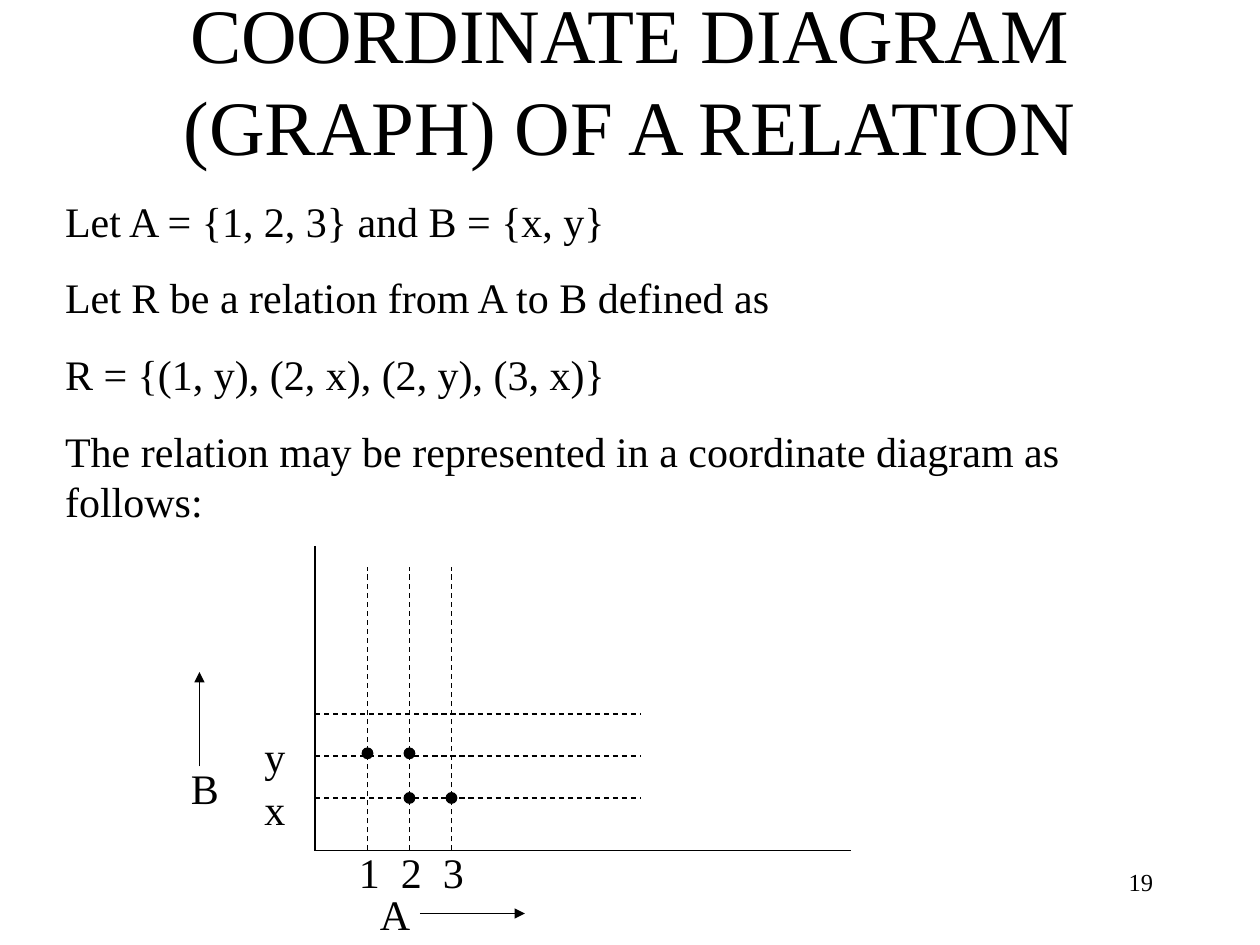
from lxml import etree
from pptx import Presentation
from pptx.dml.color import RGBColor
from pptx.enum import dml, shapes, text
from pptx.oxml import ns
from pptx.util import Pt

BLACK = RGBColor(0, 0, 0)
FONT = {"name": "Times New Roman", "bold": False}

COLUMNS = {"1": 210, "2": 234, "3": 258}
ROWS = {"y": 430.5, "x": 456}
RELATION = [("1", "y"), ("2", "x"), ("2", "y"), ("3", "x")]
ORIGIN_X, ORIGIN_Y = 180, 486

presentation = Presentation()
presentation.slide_width, presentation.slide_height = Pt(720), Pt(540)
slide = presentation.slides.add_slide(presentation.slide_layouts[1])


def write(shape, lines, size, alignment=text.PP_ALIGN.LEFT, before=0):
    """Fill a shape with one formatted paragraph per line, without bullets."""
    frame = shape.text_frame
    frame.text = "\n".join(lines)
    for paragraph in frame.paragraphs:
        paragraph.alignment = alignment
        paragraph.space_before = Pt(before)
        properties = paragraph._p.get_or_add_pPr()
        properties.set("marL", "0")
        properties.set("indent", "0")
        etree.SubElement(properties, ns.qn("a:buNone"))
        font = paragraph.runs[0].font
        for name, value in FONT.items():
            setattr(font, name, value)
        font.size = Pt(size)
        font.color.rgb = BLACK


def add_line(x1, y1, x2, y2, dashed=False, arrow=False):
    line = slide.shapes.add_connector(
        shapes.MSO_CONNECTOR.STRAIGHT, Pt(x1), Pt(y1), Pt(x2), Pt(y2))
    line.line.color.rgb = BLACK
    line.line.width = Pt(0.75)
    if dashed:
        line.line.dash_style = dml.MSO_LINE.DASH
    if arrow:
        etree.SubElement(line.line._get_or_add_ln(), ns.qn("a:tailEnd"), type="triangle")
    etree.SubElement(line._element.spPr, ns.qn("a:effectLst"))


# Title and statement
title, body = slide.shapes.title, slide.placeholders[1]
for shape, box, anchor in [
    (title, (54, 0, 612, 90), text.MSO_ANCHOR.MIDDLE),
    (body, (30, 108, 654, 196.5), text.MSO_ANCHOR.TOP),
]:
    shape.left, shape.top, shape.width, shape.height = map(Pt, box)
    shape.text_frame.auto_size = text.MSO_AUTO_SIZE.NONE
    shape.text_frame.vertical_anchor = anchor
write(title, ["COORDINATE DIAGRAM (GRAPH) OF A RELATION"], 44, text.PP_ALIGN.CENTER)
write(body, [
    "Let A = {1, 2, 3} and B = {x, y}",
    "Let R be a relation from A to B defined as",
    "R = {(1, y), (2, x), (2, y), (3, x)}",
    "The relation may be represented in a coordinate diagram as follows:",
], 24, before=15)

# Axes and grid
add_line(ORIGIN_X, 312, ORIGIN_X, ORIGIN_Y)
add_line(ORIGIN_X, ORIGIN_Y, 486, ORIGIN_Y)
for y in (456, 432, 408):
    add_line(ORIGIN_X, y, 366, y, dashed=True)
for x in COLUMNS.values():
    add_line(x, ORIGIN_Y, x, 324, dashed=True)

# Points of the relation
DOT = 6
for column, row in RELATION:
    dot = slide.shapes.add_shape(
        shapes.MSO_SHAPE.OVAL, Pt(COLUMNS[column] - DOT / 2), Pt(ROWS[row] - DOT / 2),
        Pt(DOT), Pt(DOT))
    dot.shadow.inherit = False
    dot.fill.solid()
    dot.fill.fore_color.rgb = BLACK
    dot.line.color.rgb = BLACK
    dot.line.width = Pt(0.75)

# Labels and direction arrows
labels = [("x", 144, 444, 26), ("y", 144, 414, 26), ("B", 102, 432, 30), ("A", 210, 504, 32)]
labels += [(name, x - 12, 480, 26) for name, x in COLUMNS.items()]
for name, left, top, width in labels:
    label = slide.shapes.add_textbox(Pt(left), Pt(top), Pt(width), Pt(36))
    label.text_frame.word_wrap = False
    write(label, [name], 24)
add_line(114, 438, 114, 384, arrow=True)
add_line(240, 522, 300, 522, arrow=True)

page_number = slide.shapes.add_textbox(Pt(516), Pt(492), Pt(150), Pt(36))
page_number.text_frame.word_wrap = True
write(page_number, ["19"], 14, text.PP_ALIGN.RIGHT)

presentation.save("out.pptx")
